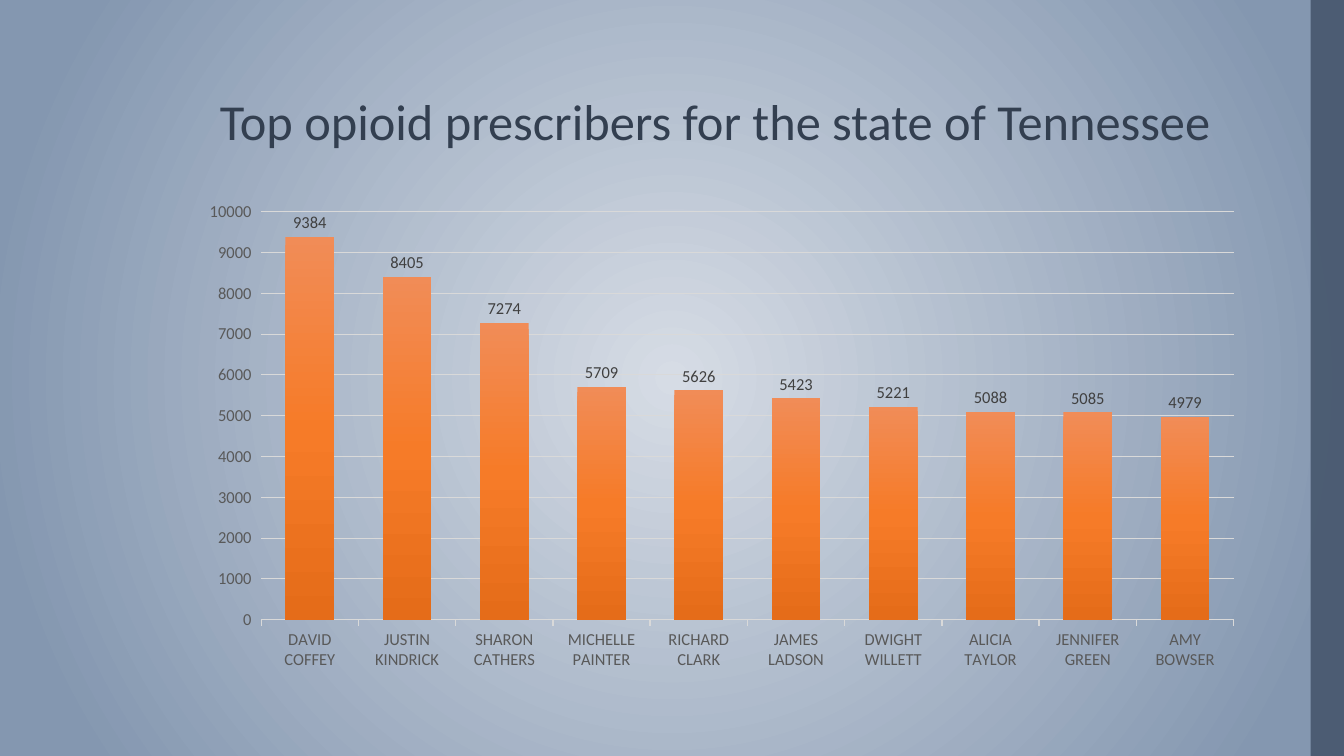
from lxml import etree
from pptx import Presentation
from pptx.chart.data import CategoryChartData
from pptx.dml.color import RGBColor
from pptx.enum.chart import XL_CHART_TYPE as ChartType
from pptx.enum.chart import XL_LABEL_POSITION as LabelPosition
from pptx.enum.chart import XL_TICK_MARK as TickMark
from pptx.enum.shapes import MSO_SHAPE as ShapeType
from pptx.enum.text import MSO_ANCHOR as Anchor
from pptx.enum.text import MSO_AUTO_SIZE as AutoSize
from pptx.enum.text import PP_ALIGN as Align
from pptx.oxml import parse_xml
from pptx.oxml.ns import nsdecls, qn
from pptx.util import Inches, Pt

FONT = "Calibri"
PRESCRIPTIONS = {
    "DAVID COFFEY": 9384,
    "JUSTIN KINDRICK": 8405,
    "SHARON CATHERS": 7274,
    "MICHELLE PAINTER": 5709,
    "RICHARD CLARK": 5626,
    "JAMES LADSON": 5423,
    "DWIGHT WILLETT": 5221,
    "ALICIA TAYLOR": 5088,
    "JENNIFER GREEN": 5085,
    "AMY BOWSER": 4979,
}
RADIAL = ('<a:path path="circle"><a:fillToRect l="50000" t="50000" '
          'r="50000" b="50000"/></a:path>')
DOWNWARD = '<a:lin ang="5400000" scaled="0"/>'


def color(hex_string):
    return RGBColor.from_string(hex_string)


def style_font(font, size, hex_string):
    font.name = FONT
    font.size = Pt(size)
    font.color.rgb = color(hex_string)


def set_gradient(fill, parent, stops, direction):
    """Fill with a gradient whose stops are (percent, colour) pairs."""
    fill.solid()
    solid = parent.find(".//" + qn("a:solidFill"))
    stop_xml = "".join(
        f'<a:gs pos="{percent * 1000}"><a:srgbClr val="{hex_string}"/></a:gs>'
        for percent, hex_string in stops)
    gradient = parse_xml(
        f'<a:gradFill {nsdecls("a")} rotWithShape="1">'
        f'<a:gsLst>{stop_xml}</a:gsLst>{direction}</a:gradFill>')
    solid.getparent().replace(solid, gradient)


def add_side_band(slide, left, top, width, height):
    band = slide.shapes.add_shape(ShapeType.RECTANGLE, left, top, width, height)
    band.shadow.inherit = False
    band.line.fill.background()
    band.fill.solid()
    band.fill.fore_color.rgb = color("44546A")
    band_color = band.fill._xPr.find(".//" + qn("a:srgbClr"))
    etree.SubElement(band_color, qn("a:alpha")).set("val", "87000")


def place_title(slide, left, top, width, height):
    title = slide.shapes.title
    title.left, title.top, title.width, title.height = left, top, width, height
    frame = title.text_frame
    frame.text = "Top opioid prescribers for the state of Tennessee"
    frame.word_wrap = True
    frame.auto_size = AutoSize.NONE
    frame.vertical_anchor = Anchor.BOTTOM
    paragraph = frame.paragraphs[0]
    paragraph.alignment = Align.LEFT
    paragraph.line_spacing = 0.9
    style_font(paragraph.font, 36, "333F50")


def set_plot_layout(chart, x, y, w, h):
    plot_area = chart._chartSpace.find(".//" + qn("c:plotArea"))
    for old_layout in plot_area.findall(qn("c:layout")):
        plot_area.remove(old_layout)
    sizes = "".join(f'<c:{name} val="{value}"/>'
                    for name, value in zip("xywh", (x, y, w, h)))
    plot_area.insert(0, parse_xml(
        f'<c:layout {nsdecls("c")}><c:manualLayout>'
        '<c:layoutTarget val="inner"/>'
        '<c:xMode val="edge"/><c:yMode val="edge"/>'
        f'{sizes}</c:manualLayout></c:layout>'))


def add_prescriber_chart(slide, left, top, width, height):
    data = CategoryChartData()
    data.categories = list(PRESCRIPTIONS)
    data.add_series("Series 1", list(PRESCRIPTIONS.values()))
    chart = slide.shapes.add_chart(
        ChartType.COLUMN_CLUSTERED, left, top, width, height, data).chart
    style_font(chart.font, 10, "000000")
    chart.has_title = False
    chart.has_legend = False
    set_plot_layout(chart, 0.03, 0.07, 0.95, 0.81)

    # Axes
    for axis in (chart.category_axis, chart.value_axis):
        axis.major_tick_mark = TickMark.OUTSIDE
        axis.minor_tick_mark = TickMark.NONE
        style_font(axis.tick_labels.font, 12, "595959")
    category_line = chart.category_axis.format.line
    category_line.color.rgb = color("D9D9D9")
    category_line.width = Pt(1)
    value_axis = chart.value_axis
    value_axis.minimum_scale, value_axis.maximum_scale = 0, 10000
    value_axis.major_unit = 1000
    value_axis.format.line.fill.background()
    grid_line = value_axis.major_gridlines.format.line
    grid_line.color.rgb = color("D9D9D9")
    grid_line.width = Pt(0.75)

    # Columns and their values
    plot = chart.plots[0]
    plot.vary_by_categories = False
    plot.gap_width = 100
    plot.overlap = -24
    series = plot.series[0]
    set_gradient(series.format.fill, series._element,
                 [(0, "F18C57"), (50, "F67B28"), (100, "E56C19")], DOWNWARD)
    labels = series.data_labels
    labels.show_value = True
    labels.position = LabelPosition.OUTSIDE_END
    style_font(labels.font, 12, "404040")


def main():
    presentation = Presentation()
    presentation.slide_width = Inches(13.33)
    presentation.slide_height = Inches(7.5)
    slide = presentation.slides.add_slide(presentation.slide_layouts[5])
    set_gradient(slide.background.fill, slide._element,
                 [(0, "D6DCE5"), (90, "8497B0")], RADIAL)

    add_side_band(slide, Inches(13), 0, Inches(0.33), Inches(7.5))
    content_left, content_width = Inches(2.08), Inches(10.36)
    place_title(slide, content_left, Inches(0.19), content_width, Inches(1.36))
    add_prescriber_chart(slide, content_left, Inches(1.75), content_width, Inches(5))
    presentation.save("out.pptx")


if __name__ == "__main__":
    main()
